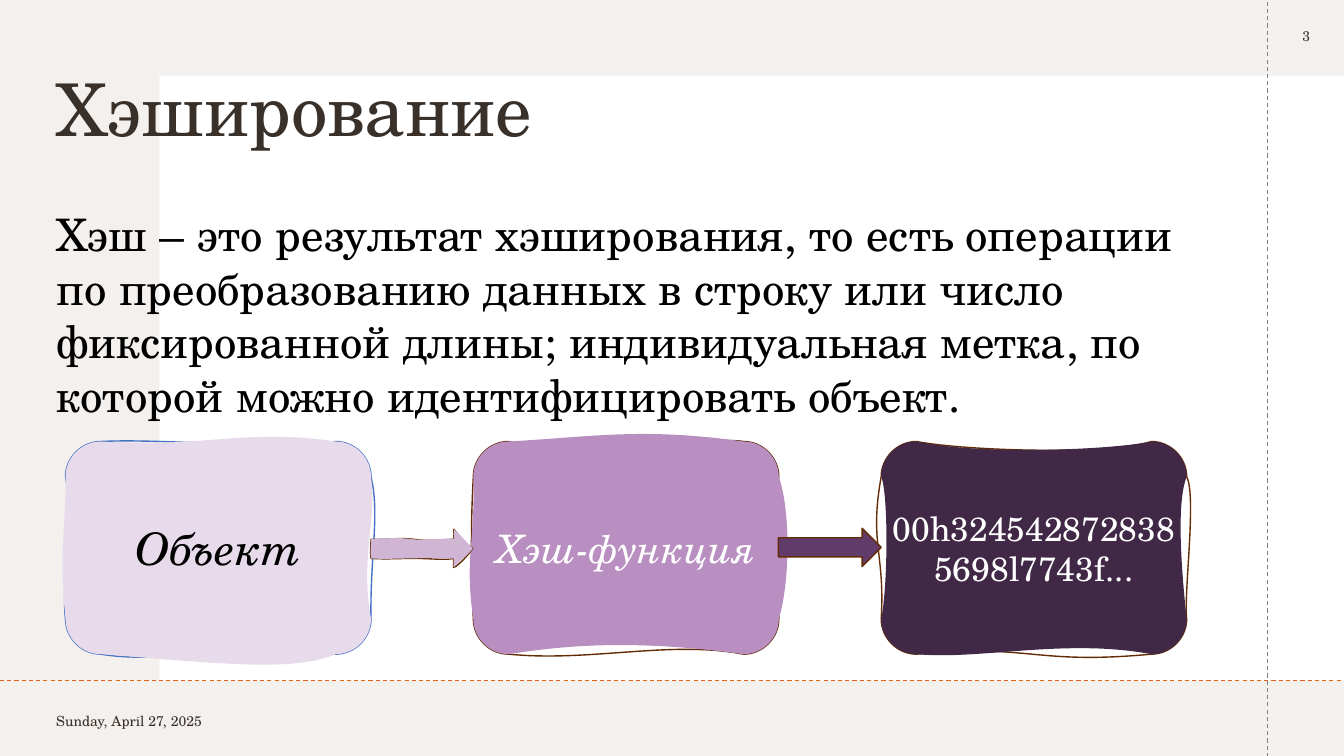
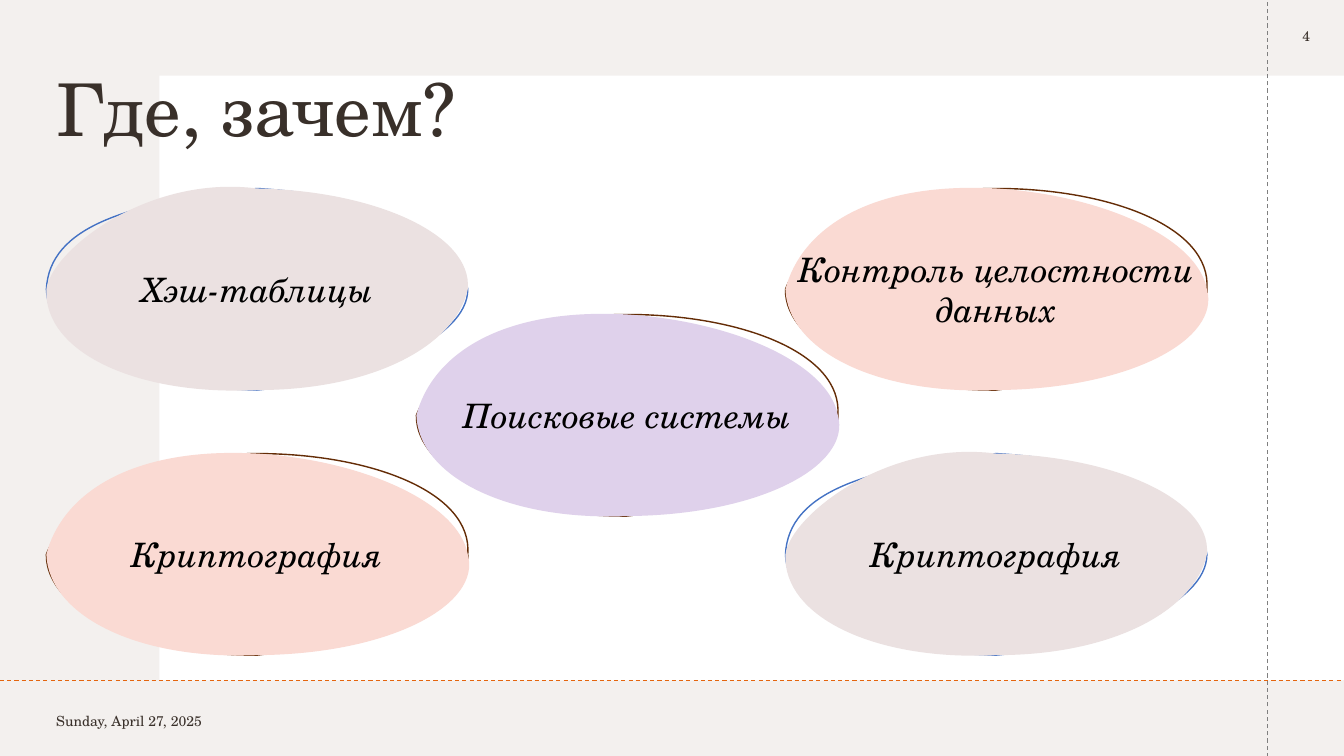
from dataclasses import dataclass

from lxml import etree
from pptx import Presentation
from pptx.dml.color import RGBColor
from pptx.enum.dml import MSO_LINE
from pptx.enum.shapes import MSO_CONNECTOR, MSO_SHAPE
from pptx.enum.text import MSO_ANCHOR, PP_ALIGN
from pptx.oxml.ns import qn
from pptx.util import Inches, Pt

RECTANGLE, RIGHT_ARROW = MSO_SHAPE.RECTANGLE, MSO_SHAPE.RIGHT_ARROW
STRAIGHT, DASH = MSO_CONNECTOR.STRAIGHT, MSO_LINE.DASH
LEFT, CENTER = PP_ALIGN.LEFT, PP_ALIGN.CENTER
TOP, MIDDLE = MSO_ANCHOR.TOP, MSO_ANCHOR.MIDDLE

FONT = "TeX Gyre Schola"
WIDTH, HEIGHT = 13.33, 7.5
BLACK, WHITE, INK = "000000", "FFFFFF", "39302A"
SAND, ORANGE, GREY = "E5DEDB", "E4650E", "7F7F7F"
BLUE, BROWN = "4472C4", "642C06"
ROSE, PEACH, LILAC = "EBE1E1", "FADAD3", "DFD1EB"
CARD_WIDTH, CARD_HEIGHT, CARD_TOP = 3.03, 2.11, 4.38
FIRST_CARD, LAST_CARD = 0.65, 8.74
OVAL_WIDTH, OVAL_HEIGHT = 4.18, 2.0

Point = tuple[float, float]
Handles = list[tuple[Point, Point]]


@dataclass(frozen=True)
class Sketch:
    """A hand-drawn outline: anchors joined by curves, one pair of handles each.

    The pen line and the painted area wander apart, so each has its own handles.
    """
    anchors: list[Point]
    pen: Handles
    paint: Handles


@dataclass(frozen=True)
class Card:
    text: str
    size: int
    italic: bool
    text_color: str
    fill: str
    line: str
    sketch: Sketch


@dataclass(frozen=True)
class Oval:
    text: str
    left: float
    top: float
    fill: str
    line: str
    sketch: Sketch


def card_sketch(pen_edges: Handles, paint_edges: Handles) -> Sketch:
    """Rounded rectangle whose edges (top, right, bottom, left) are wavy."""
    right, bottom, radius, pull = CARD_WIDTH, CARD_HEIGHT, 0.35, 0.16
    corners = [
        ((0, pull), (pull, 0)),
        ((right - pull, 0), (right, pull)),
        ((right, bottom - pull), (right - pull, bottom)),
        ((pull, bottom), (0, bottom - pull)),
    ]
    anchors = [
        (0, radius), (radius, 0), (right - radius, 0), (right, radius),
        (right, bottom - radius), (right - radius, bottom),
        (radius, bottom), (0, bottom - radius),
    ]

    def with_corners(edges: Handles) -> Handles:
        return [pair for both in zip(corners, edges) for pair in both]

    return Sketch(anchors, with_corners(pen_edges), with_corners(paint_edges))


def oval_sketch(pen: Handles, paint: Handles) -> Sketch:
    middle_x, middle_y = OVAL_WIDTH / 2, OVAL_HEIGHT / 2
    anchors = [(0, middle_y), (middle_x, 0), (OVAL_WIDTH, middle_y), (middle_x, OVAL_HEIGHT)]
    return Sketch(anchors, pen, paint)


LEFT_LOOP = oval_sketch(
    [((0.03, 0.38), (0.8, 0.14)), ((3.31, 0.07), (4.1, 0.49)),
     ((4.18, 1.5), (3.18, 1.89)), ((0.94, 1.98), (0.02, 1.57))],
    [((0.05, 0.62), (1, -0.14)), ((3.24, 0.02), (4.23, 0.45)),
     ((4.06, 1.55), (3.26, 2)), ((0.89, 2.06), (-0.03, 1.62))],
)
RIGHT_LOOP = oval_sketch(
    [((0.19, 0.51), (0.92, 0)), ((3.21, 0), (4.23, 0.38)),
     ((4.24, 1.67), (3.17, 1.86)), ((1.02, 2.01), (-0.01, 1.58))],
    [((0.15, 0.42), (0.81, -0.07)), ((3.17, 0.07), (4.09, 0.5)),
     ((4.32, 1.49), (3.43, 1.99)), ((0.87, 2.05), (0.02, 1.59))],
)
ARROW = Sketch(
    [(0, 0.1), (0.42, 0.1), (0.82, 0.1), (0.82, 0), (1.01, 0.19),
     (0.82, 0.38), (0.82, 0.29), (0.43, 0.29), (0, 0.29)],
    [((0.14, 0.11), (0.25, 0.08)), ((0.55, 0.12), (0.64, 0.11)),
     ((0.82, 0.05), (0.83, 0.04)), ((0.9, 0.1), (0.96, 0.16)),
     ((0.96, 0.26), (0.88, 0.35)), ((0.82, 0.36), (0.82, 0.32)),
     ((0.72, 0.31), (0.61, 0.29)), ((0.24, 0.29), (0.17, 0.3)),
     ((-0.01, 0.19), (0, 0.16))],
    [((0.16, 0.09), (0.27, 0.08)), ((0.59, 0.12), (0.71, 0.08)),
     ((0.82, 0.07), (0.83, 0.04)), ((0.91, 0.08), (0.93, 0.11)),
     ((0.98, 0.24), (0.86, 0.33)), ((0.82, 0.34), (0.82, 0.32)),
     ((0.69, 0.3), (0.61, 0.28)), ((0.24, 0.29), (0.13, 0.3)),
     ((-0.01, 0.22), (0, 0.15))],
)
CARDS = [
    Card("Объект", 32, True, BLACK, "E7DAEA", BLUE, card_sketch(
        [((0.94, -0.03), (1.78, 0.07)), ((3.12, 0.72), (3.02, 1.13)),
         ((2.11, 1.94), (1.06, 2.23)), ((-0.04, 1.48), (0.07, 0.68))],
        [((1.41, 0.06), (1.8, -0.13)), ((3.09, 0.8), (2.92, 1.14)),
         ((2.26, 2.29), (1.5, 2.2)), ((-0.07, 1.06), (0.01, 0.83))])),
    Card("Хэш-функция", 28, True, WHITE, "B88FC0", BROWN, card_sketch(
        [((0.69, 0.1), (2.45, -0.05)), ((2.92, 0.98), (3.05, 1.39)),
         ((1.95, 1.97), (1.16, 2.19)), ((-0.03, 1.17), (-0.02, 0.69))],
        [((1.22, -0.05), (1.68, -0.14)), ((3.15, 0.7), (3.14, 1.4)),
         ((1.65, 1.97), (0.98, 2.01)), ((-0.09, 1.15), (0.02, 1.01))])),
    Card("00h3245428728385698l7743f...", 24, False, WHITE, "412846", BROWN, card_sketch(
        [((0.81, 0.09), (2.23, 0.14)), ((3.13, 0.54), (3, 1.51)),
         ((1.51, 2.22), (1.46, 2)), ((0.04, 1.11), (-0.12, 1.01))],
        [((1.02, 0.14), (2.3, 0.08)), ((2.94, 0.57), (2.96, 1.12)),
         ((1.82, 1.95), (0.98, 2.17)), ((0.07, 1.41), (0.07, 0.51))])),
]
OVALS = [
    Oval("Хэш-таблицы", 0.46, 1.87, ROSE, BLUE, LEFT_LOOP),
    Oval("Контроль целостности данных", 7.79, 1.87, PEACH, BROWN, RIGHT_LOOP),
    Oval("Криптография", 7.79, 4.5, ROSE, BLUE, LEFT_LOOP),
    Oval("Криптография", 0.46, 4.5, PEACH, BROWN, RIGHT_LOOP),
    Oval("Поисковые системы", 4.13, 3.12, LILAC, BROWN, RIGHT_LOOP),
]


def rgb(color: str) -> RGBColor:
    return RGBColor.from_string(color)


def paint_shape(shape, fill: str, line: str | None = None) -> None:
    shape.shadow.inherit = False
    shape.fill.solid()
    shape.fill.fore_color.rgb = rgb(fill)
    if line:
        shape.line.color.rgb = rgb(line)
        shape.line.width = Pt(1)
    else:
        shape.line.fill.background()


def write_text(frame, text: str, *, size: int, color: str = INK, italic: bool = False,
               align=LEFT, anchor=MIDDLE, line_spacing: float | None = None,
               space_before: int = 0) -> None:
    frame.word_wrap = True
    frame.vertical_anchor = anchor
    para = frame.paragraphs[0]
    para.alignment = align
    para.line_spacing = line_spacing
    para.space_before = Pt(space_before)
    span = para.add_run()
    span.text = text
    span.font.name = FONT
    span.font.size = Pt(size)
    span.font.italic = italic
    span.font.color.rgb = rgb(color)


def add_text(page, text: str, left: float, top: float, width: float, height: float,
             **text_format) -> None:
    box = page.shapes.add_textbox(Inches(left), Inches(top), Inches(width), Inches(height))
    write_text(box.text_frame, text, **text_format)


def add_block(page, kind, left: float, top: float, width: float, height: float,
              fill: str, line: str | None = None):
    block = page.shapes.add_shape(kind, Inches(left), Inches(top), Inches(width), Inches(height))
    paint_shape(block, fill, line)
    return block


def set_opacity(shape, percent: int) -> None:
    color = shape._element.spPr.find(qn("a:solidFill"))[0]
    etree.SubElement(color, qn("a:alpha"), val=str(percent * 1000))


def add_dashed_line(page, start: Point, end: Point, color: str) -> None:
    rule = page.shapes.add_connector(STRAIGHT, *(Inches(value) for value in start + end))
    rule.line.color.rgb = rgb(color)
    rule.line.width = Pt(0.75)
    rule.line.dash_style = DASH
    etree.SubElement(rule._element.spPr, qn("a:effectLst"))


def add_curves(contour, anchors: list[Point], handles: Handles) -> None:
    """Write a closed chain of cubic curves into a contour element."""
    def add_step(tag: str, *points: Point) -> None:
        step = etree.SubElement(contour, qn(tag))
        for x, y in points:
            etree.SubElement(step, qn("a:pt"), x=str(int(Inches(x))), y=str(int(Inches(y))))

    add_step("a:moveTo", anchors[0])
    for pair, end in zip(handles, anchors[1:] + anchors[:1]):
        add_step("a:cubicBezTo", *pair, end)
    add_step("a:close")


def add_sketch(page, sketch: Sketch, left: float, top: float, fill: str, line: str):
    """Add one freeform with an unfilled pen line and an unlined painted area."""
    corners = [(Inches(left + x), Inches(top + y)) for x, y in sketch.anchors]
    builder = page.shapes.build_freeform(*corners[0])
    builder.add_line_segments(corners[1:], close=True)
    shape = builder.convert_to_shape()
    paint_shape(shape, fill, line)
    contours = shape._element.spPr.find(qn("a:custGeom")).find(qn("a:pathLst"))
    contours.remove(contours[0])
    size = {"w": str(int(shape.width)), "h": str(int(shape.height))}
    for handles, role in ((sketch.pen, {"fill": "none"}), (sketch.paint, {"stroke": "0"})):
        contour = etree.SubElement(contours, qn("a:path"), **size, **role)
        add_curves(contour, sketch.anchors, handles)
    return shape


def add_page(deck, title: str, number: int):
    """Add a slide with the shared bands, dashed lines, title and footer."""
    page = deck.slides.add_slide(deck.slide_layouts[6])
    set_opacity(add_block(page, RECTANGLE, 0, 0, WIDTH, HEIGHT, SAND), 45)
    add_block(page, RECTANGLE, 1.58, 0.75, 11.75, 6, WHITE)
    add_dashed_line(page, (12.57, 7.51), (12.57, 0.01), GREY)
    add_dashed_line(page, (0, 6.75), (13.34, 6.75), ORANGE)
    add_text(page, title, 0.46, 0.4, 11.5, 1.45, size=52, line_spacing=0.9)
    add_text(page, "Sunday, April 27, 2025", 0.46, 6.8, 3, 0.7, size=10)
    add_text(page, str(number), 12.58, -0.02, 0.75, 0.75, size=10, align=CENTER)
    return page


def add_hashing_page(deck) -> None:
    page = add_page(deck, "Хэширование", 3)
    add_text(page, "Хэш – это результат хэширования, то есть операции по преобразованию данных "
             "в строку или число фиксированной длины; индивидуальная метка, по которой можно "
             "идентифицировать объект.", 0.46, 2, 11.5, 4.6,
             size=32, color=BLACK, anchor=TOP, space_before=10)
    card_step = (LAST_CARD - FIRST_CARD) / (len(CARDS) - 1)
    for index, card in enumerate(CARDS):
        shape = add_sketch(page, card.sketch, FIRST_CARD + index * card_step, CARD_TOP,
                           card.fill, card.line)
        write_text(shape.text_frame, card.text, size=card.size, color=card.text_color,
                   italic=card.italic, align=CENTER)
    add_sketch(page, ARROW, 3.68, 5.25, "D0B5D5", BROWN)
    add_block(page, RIGHT_ARROW, 7.72, 5.24, 1.02, 0.38, "613B69", BROWN)


def add_uses_page(deck) -> None:
    page = add_page(deck, "Где, зачем?", 4)
    for oval in OVALS:
        shape = add_sketch(page, oval.sketch, oval.left, oval.top, oval.fill, oval.line)
        write_text(shape.text_frame, oval.text, size=24, color=BLACK, italic=True, align=CENTER)


def main() -> None:
    deck = Presentation()
    deck.slide_width, deck.slide_height = Inches(WIDTH), Inches(HEIGHT)
    add_hashing_page(deck)
    add_uses_page(deck)
    deck.save("out.pptx")


if __name__ == "__main__":
    main()
